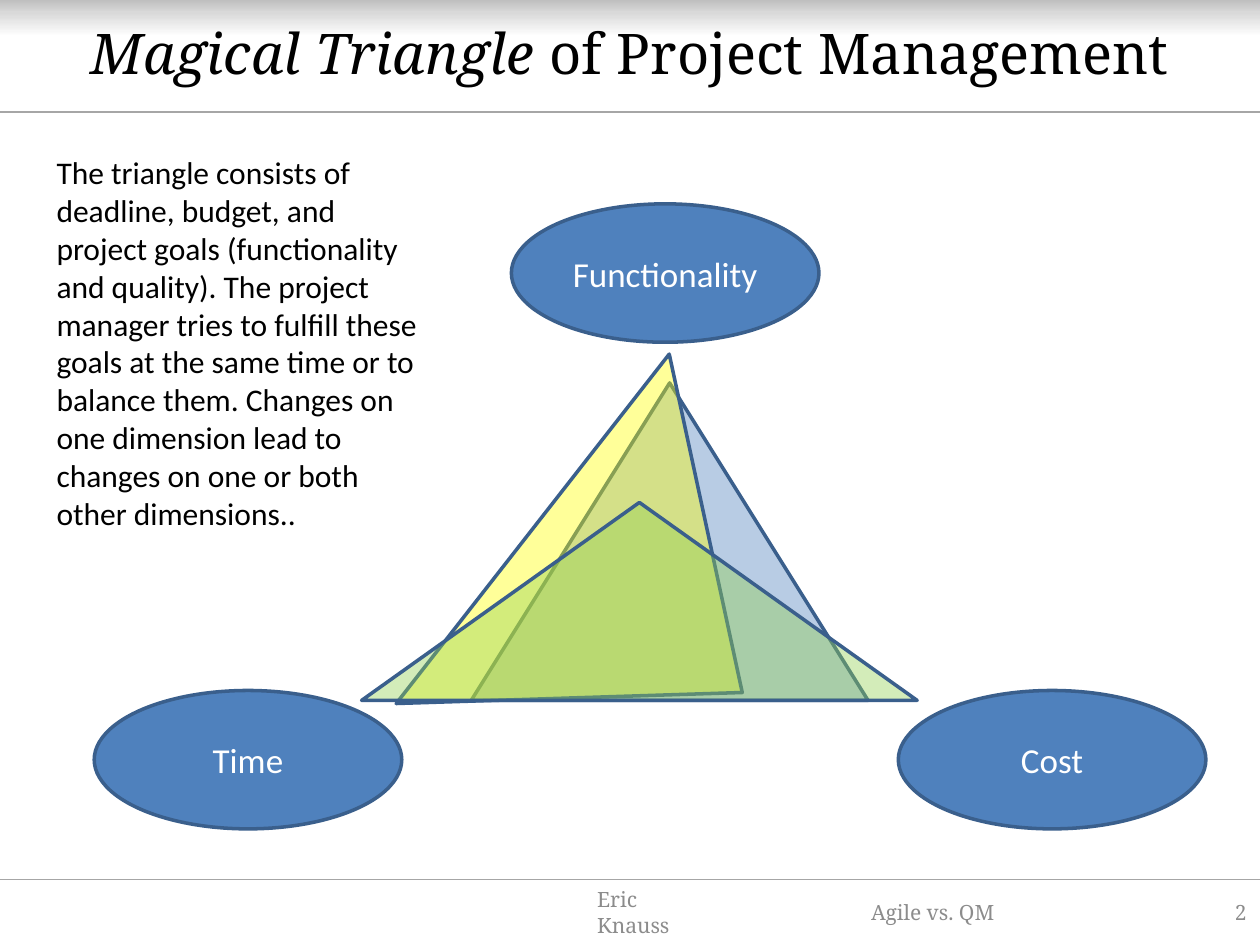
"""Builds the project management triangle slide."""
import copy
from dataclasses import dataclass

import lxml.etree
import pptx
import pptx.dml.color
import pptx.enum.shapes
import pptx.enum.text
import pptx.oxml.ns
import pptx.util

Cm = pptx.util.Cm
Pt = pptx.util.Pt
Rgb = pptx.dml.color.RGBColor.from_string
qn = pptx.oxml.ns.qn
Shape = pptx.enum.shapes.MSO_SHAPE
Align = pptx.enum.text.PP_ALIGN
Anchor = pptx.enum.text.MSO_ANCHOR


@dataclass(frozen=True)
class Theme:
    """Colours, fonts and type sizes."""
    ink: str = "000000"
    light: str = "FFFFFF"
    muted: str = "8C8C8C"
    rule: str = "A6A6A6"
    blue: str = "4F81BD"
    outline: str = "3A5F8C"
    yellow: str = "FFFF00"
    green: str = "92D050"
    band: tuple = ((0, "BFBFBF"), (0.34, "D9D9D9"), (1, "FFFFFF"))
    serif: str = "Noto Serif"
    sans: str = "Calibri"
    title_size: int = 32
    label_size: int = 20
    body_size: int = 18
    footer_size: int = 12


class SlideBuilder:
    """Draws styled elements on one slide."""

    def __init__(self, slide, theme):
        self.shapes = slide.shapes
        self.theme = theme

    def set_text(self, frame, runs, font, size, color, align, anchor):
        """Fill a text frame with (text, italic) runs."""
        frame.word_wrap = True
        frame.vertical_anchor = anchor
        paragraph = frame.paragraphs[0]
        paragraph.alignment = align
        paragraph.font.name = font
        paragraph.font.size = Pt(size)
        paragraph.font.color.rgb = Rgb(color)
        for words, italic in runs:
            run = paragraph.add_run()
            run.text = words
            if italic:
                run.font.italic = True

    def text(self, box, runs, font, size, color, align=Align.LEFT, anchor=Anchor.MIDDLE):
        """Add a text box."""
        frame = self.shapes.add_textbox(*map(Cm, box)).text_frame
        self.set_text(frame, runs, font, size, color, align, anchor)

    def outlined(self, kind, box, fill):
        """Add a filled shape with the common outline."""
        shape = self.shapes.add_shape(kind, *map(Cm, box))
        shape.shadow.inherit = False
        shape.fill.solid()
        shape.fill.fore_color.rgb = Rgb(fill)
        shape.line.color.rgb = Rgb(self.theme.outline)
        shape.line.width = Pt(2)
        return shape

    def goal(self, left, top, label):
        """Add a labelled ellipse."""
        ellipse = self.outlined(Shape.OVAL, (left, top, 6.2, 2.79), self.theme.blue)
        self.set_text(ellipse.text_frame, [(label, False)], self.theme.sans,
                      self.theme.label_size, self.theme.light, Align.CENTER, Anchor.MIDDLE)

    def triangle(self, box, fill, rotation=0):
        """Add a translucent triangle."""
        shape = self.outlined(Shape.ISOSCELES_TRIANGLE, box, fill)
        shape.rotation = rotation
        color = shape._element.spPr.find(qn("a:solidFill")).find(qn("a:srgbClr"))
        lxml.etree.SubElement(color, qn("a:alpha")).set("val", "40000")

    def rule(self, top):
        """Add a thin line across the slide."""
        line = self.shapes.add_connector(
            pptx.enum.shapes.MSO_CONNECTOR.STRAIGHT, Cm(0), Cm(top), Cm(25.4), Cm(top))
        line.line.color.rgb = Rgb(self.theme.rule)
        line.line.width = Pt(0.75)
        lxml.etree.SubElement(line._element.spPr, qn("a:effectLst"))

    def band(self, box):
        """Add the strip that fades downwards."""
        strip = self.shapes.add_shape(Shape.RECTANGLE, *map(Cm, box))
        strip.shadow.inherit = False
        strip.line.fill.background()
        strip.fill.gradient()
        strip.fill.gradient_angle = 270
        stops = strip._element.spPr.find(qn("a:gradFill")).find(qn("a:gsLst"))
        stops.insert(1, copy.deepcopy(stops[0]))
        for stop, (position, color) in zip(strip.fill.gradient_stops, self.theme.band):
            stop.position = position
            stop.color.rgb = Rgb(color)


theme = Theme()
deck = pptx.Presentation()
deck.slide_width, deck.slide_height = Cm(25.4), Cm(19.05)
page = SlideBuilder(deck.slides.add_slide(deck.slide_layouts[6]), theme)

page.band((0, 0, 25.4, 0.74))
for height in (17.73, 2.26):
    page.rule(height)
page.text((1.27, 0.08, 22.86, 1.96),
          [("Magical Triangle", True), (" of Project Management", False)],
          theme.serif, theme.title_size, theme.ink, Align.CENTER)

for left, top, label in ((10.31, 4.11, "Functionality"),
                         (1.9, 13.92, "Time"),
                         (18.11, 13.92, "Cost")):
    page.goal(left, top, label)

page.triangle((9.5, 7.72, 8, 6.4), theme.blue)
page.triangle((8.38, 9.63, 8.94, 5.36), theme.yellow, rotation=128)
page.triangle((7.29, 10.13, 11.2, 3.99), theme.green)

explanation = (
    "The triangle consists of deadline, budget, and project goals "
    "(functionality and quality). The project manager tries to fulfill these "
    "goals at the same time or to balance them. Changes on one dimension lead "
    "to changes on one or both other dimensions..")
page.text((0.89, 2.97, 8, 7.95), [(explanation, False)],
          theme.sans, theme.body_size, theme.ink, anchor=Anchor.TOP)

for left, width, words, align in ((11.79, 2.79, "Eric Knauss", Align.LEFT),
                                  (14.78, 8.05, "Agile vs. QM", Align.CENTER),
                                  (23.04, 2.34, "2", Align.RIGHT)):
    page.text((left, 17.88, width, 1.02), [(words, False)],
              theme.serif, theme.footer_size, theme.muted, align)

deck.save("out.pptx")
